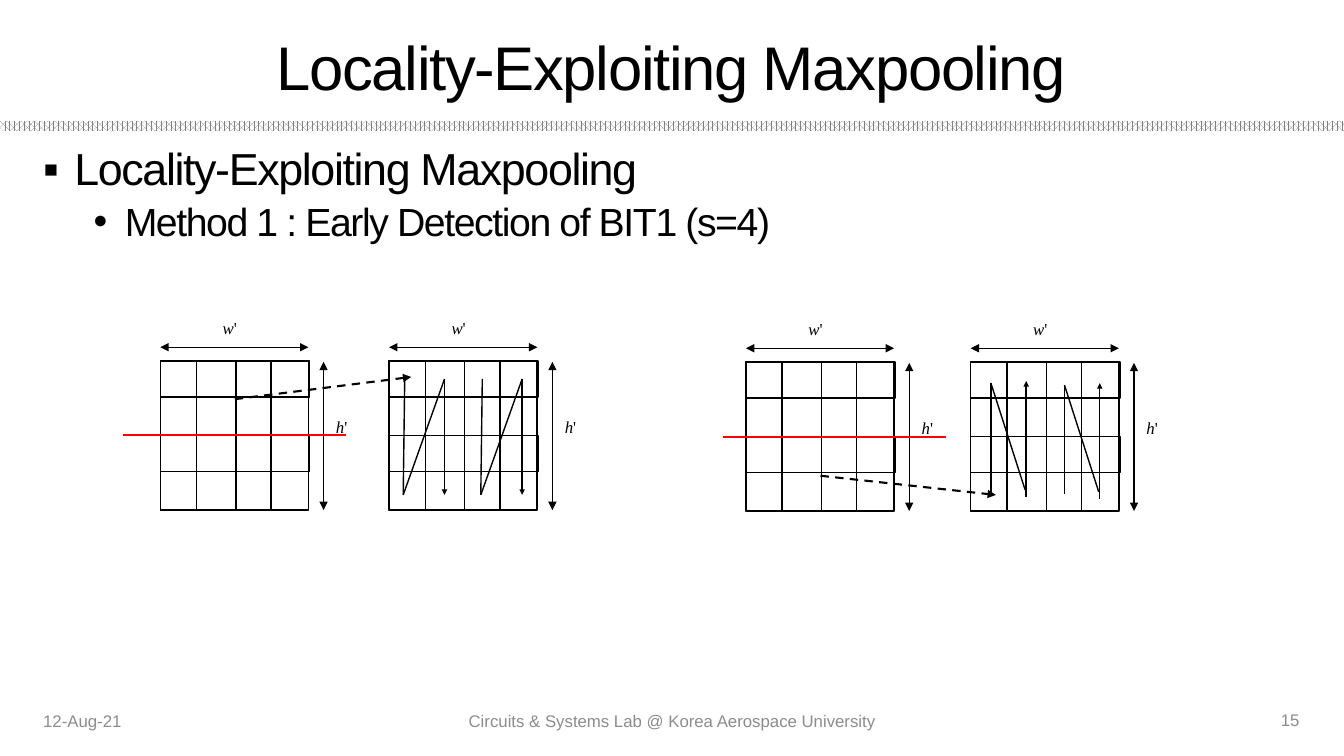
from dataclasses import dataclass

from lxml import etree
from pptx import Presentation
from pptx.dml.color import RGBColor
from pptx.enum.dml import MSO_LINE, MSO_PATTERN
from pptx.enum.shapes import MSO_CONNECTOR, MSO_SHAPE
from pptx.enum.text import MSO_ANCHOR, MSO_AUTO_SIZE, PP_ALIGN
from pptx.oxml.ns import qn
from pptx.util import Inches, Pt

LEFT, CENTER, RIGHT = PP_ALIGN.LEFT, PP_ALIGN.CENTER, PP_ALIGN.RIGHT
TOP, MIDDLE = MSO_ANCHOR.TOP, MSO_ANCHOR.MIDDLE
NO_FIT, GROW = MSO_AUTO_SIZE.NONE, MSO_AUTO_SIZE.SHAPE_TO_FIT_TEXT
RECTANGLE, STRAIGHT = MSO_SHAPE.RECTANGLE, MSO_CONNECTOR.STRAIGHT
DASH, HATCH = MSO_LINE.DASH, MSO_PATTERN.PERCENT_70
TITLE_ONLY = 5
COLUMNS, ROWS = 133.33, 75  # square grid, ten units to the inch


@dataclass(frozen=True)
class Theme:
    ink: RGBColor = RGBColor(0, 0, 0)
    paper: RGBColor = RGBColor(255, 255, 255)
    muted: RGBColor = RGBColor(0x8C, 0x8C, 0x8C)
    hatch: RGBColor = RGBColor(0x80, 0x80, 0x80)
    accent: RGBColor = RGBColor(255, 0, 0)
    sans: str = "Arial"
    serif: str = "Times New Roman"
    title: int = 44
    heading: int = 32
    subheading: int = 28
    small: int = 12
    thin: float = 1
    medium: float = 1.5


def grid(*units):
    return [Inches(unit / 10) for unit in units]


def apply(target, values):
    for name, value in values.items():
        setattr(target, name, value)


class SlideBuilder:
    def __init__(self, slide, theme):
        self.slide, self.theme = slide, theme
        self.shapes = slide.shapes

    def start_group(self):
        self.shapes = self.slide.shapes.add_group_shape().shapes

    def end_group(self):
        self.shapes = self.slide.shapes

    def add_text(self, paragraph, text, size, color=None, font=None, italic=False, spacing=None):
        run = paragraph.add_run()
        run.text = text
        apply(run.font, {"size": Pt(size), "name": font or self.theme.sans, "italic": italic})
        run.font.color.rgb = color or self.theme.ink
        if spacing is not None:
            run.font._element.set("spc", str(spacing))

    def title(self, box, text):
        shape = self.slide.shapes.title
        apply(shape, dict(zip(("left", "top", "width", "height"), grid(*box))))
        frame = shape.text_frame
        apply(frame, {"vertical_anchor": MIDDLE, "auto_size": NO_FIT, "word_wrap": True})
        frame.paragraphs[0].alignment = CENTER
        self.add_text(frame.paragraphs[0], text, self.theme.title, spacing=-100)

    def text_box(self, box, align=LEFT, anchor=TOP, fit=NO_FIT):
        frame = self.shapes.add_textbox(*grid(*box)).text_frame
        apply(frame, {"word_wrap": True, "vertical_anchor": anchor, "auto_size": fit})
        frame.paragraphs[0].alignment = align
        return frame

    def footer(self, box, text, align):
        frame = self.text_box(box, align, MIDDLE)
        self.add_text(frame.paragraphs[0], text, self.theme.small, self.theme.muted)

    def bullets(self, box, items):
        frame = self.text_box(box)
        for index, (text, symbol, size, level, indent, before) in enumerate(items):
            paragraph = frame.add_paragraph() if index else frame.paragraphs[0]
            apply(paragraph, {"level": level, "line_spacing": 0.9, "space_before": Pt(before)})
            properties = paragraph._p.get_or_add_pPr()
            properties.set("marL", str(Inches(indent)))
            properties.set("indent", str(Inches(-0.31)))
            font = etree.SubElement(properties, qn("a:buFont"))
            font.set("typeface", self.theme.sans)
            etree.SubElement(properties, qn("a:buChar")).set("char", symbol)
            self.add_text(paragraph, text, size, spacing=-100)

    def label(self, box, letter):
        """Add an italic letter followed by an upright prime."""
        paragraph = self.text_box(box, CENTER, fit=GROW).paragraphs[0]
        for text, italic in ((letter, True), ("'", False)):
            self.add_text(paragraph, text, self.theme.small, font=self.theme.serif, italic=italic)

    def hatched_band(self, box):
        shape = self.shapes.add_shape(RECTANGLE, *grid(*box))
        shape.shadow.inherit = False
        shape.fill.patterned()
        shape.fill.pattern = HATCH
        shape.fill.fore_color.rgb = self.theme.hatch
        shape.fill.back_color.rgb = self.theme.paper
        shape.line.fill.background()

    def outline(self, box):
        shape = self.shapes.add_shape(RECTANGLE, *grid(*box))
        shape.shadow.inherit = False
        shape.fill.background()
        shape.line.color.rgb = self.theme.ink
        shape.line.width = Pt(self.theme.thin)

    def line(self, start, end, width=None, color=None, dash=None, arrows=(), arrow_size="med"):
        connector = self.shapes.add_connector(STRAIGHT, *grid(*start, *end))
        connector.line.color.rgb = color or self.theme.ink
        apply(connector.line, {"width": Pt(width or self.theme.thin), "dash_style": dash})
        properties = connector._element.spPr
        for end_name in arrows:
            arrow = etree.SubElement(properties.find(qn("a:ln")), qn(f"a:{end_name}"))
            for name, value in {"type": "triangle", "w": arrow_size, "len": arrow_size}.items():
                arrow.set(name, value)
        etree.SubElement(properties, qn("a:effectLst"))

    def feature_map(self, left, top):
        """Draw a 4 by 4 map from nested outlines, with its two dimensions."""
        self.start_group()
        for half_top in (top, top + 7.4):
            for x, y, width, height in HALF_MAP:
                self.outline((left + x, half_top + y, width, height))
        both = ("headEnd", "tailEnd")
        self.label((left + 4.2, top - 4.8, 5.4, 3.4), "w")
        self.line((left + 14.7, top - 1.35), (left, top - 1.35), arrows=both)
        self.line((left + 16.2, top + 0.1), (left + 16.2, top + 14.8), arrows=both)
        self.label((left + 15.3, top + 5.1, 5.4, 3.4), "h")
        self.end_group()

    def scan_path(self, left, top, strokes):
        """Draw a zigzag whose last stroke carries the arrowhead."""
        self.start_group()
        for index, (x1, y1, x2, y2) in enumerate(strokes):
            arrows = ("tailEnd",) if index == len(strokes) - 1 else ()
            self.line((left + x1, top + y1), (left + x2, top + y2),
                      arrows=arrows, arrow_size="sm")
        self.end_group()


# Left, top, width, height of the outlines in the upper half of a map
HALF_MAP = [
    (0, 0, 14.7, 7.4), (0, 0, 14.7, 3.6), (0, 0, 7.5, 3.6), (0, 0, 3.6, 3.6),
    (7.5, 0, 7.3, 3.6), (7.5, 0, 3.5, 3.6), (0, 3.6, 3.6, 3.8), (7.5, 3.6, 3.5, 3.8),
]
SCAN_UP = [(0, 10.8, 0, 0), (3.4, 10.6, 0, 0), (3.5, 11.3, 3.5, -0.2)]
SCAN_DOWN = [(0, 11.5, 0.15, 0), (4.1, 0, 0, 11.5), (4.1, 0, 4.1, 11.5)]


def main():
    presentation = Presentation()
    presentation.slide_width, presentation.slide_height = grid(COLUMNS, ROWS)
    slide = presentation.slides.add_slide(presentation.slide_layouts[TITLE_ONLY])
    theme = Theme()
    builder = SlideBuilder(slide, theme)

    # Title, band and bullets
    builder.hatched_band((0, 12, COLUMNS, 1))
    builder.title((3.3, 2.2, 126.6, 8.7), "Locality-Exploiting Maxpooling")
    builder.bullets((3.3, 14.1, 126.6, 53.5), [
        ("Locality-Exploiting Maxpooling", "▪", theme.heading, 0, 0.31, 10),
        ("Method 1 : Early Detection of BIT1 (s=4)", "•", theme.subheading, 1, 0.81, 5),
    ])

    # Footer
    builder.footer((3.3, 69.5, 30, 4), "12-Aug-21", LEFT)
    builder.footer((44.2, 69.5, 45, 4), "Circuits & Systems Lab @ Korea Aerospace University", CENTER)
    builder.footer((99.5, 69.4, 30.4, 4), "15", RIGHT)

    # Feature maps
    for left, top in ((15.9, 35.8), (38.6, 35.8), (74, 35.9), (96.3, 35.9)):
        builder.feature_map(left, top)

    # Halving lines and links from map to scan order
    for left, top in ((12.2, 43.2), (71.7, 43.4)):
        builder.line((left, top), (left + 22.1, top), theme.medium, theme.accent)
    for start, end in (((81.4, 47.2), (98.8, 49.1)), ((23.3, 39.6), (40.8, 37.4))):
        builder.line(start, end, theme.medium, dash=DASH, arrows=("tailEnd",))

    # Scan order
    for left, top, strokes in ((98.3, 38, SCAN_UP), (105.6, 38.2, SCAN_UP),
                               (40, 37.6, SCAN_DOWN), (47.7, 37.6, SCAN_DOWN)):
        builder.scan_path(left, top, strokes)

    presentation.save("out.pptx")


if __name__ == "__main__":
    main()
